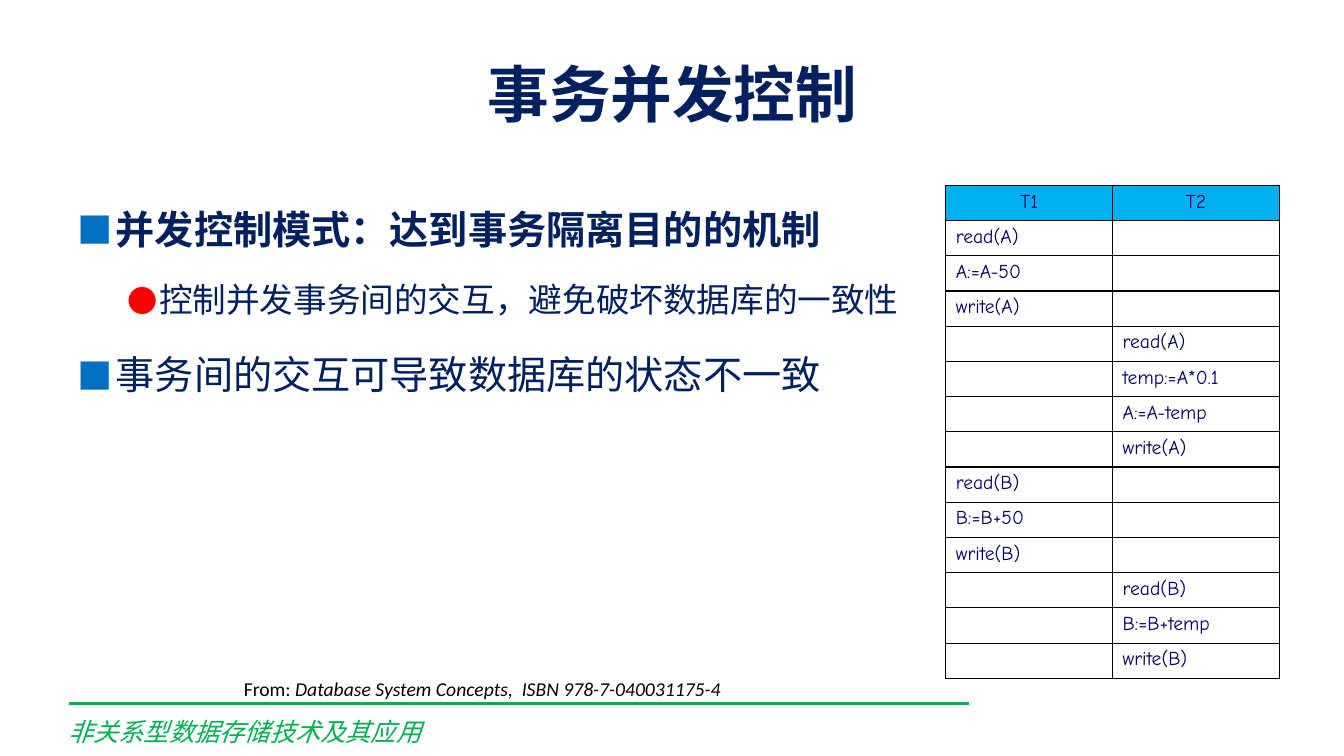
"""Build a slide on transaction concurrency control with a schedule table."""
from dataclasses import dataclass

from lxml import etree
from pptx import Presentation, util as u
from pptx.dml.color import RGBColor
from pptx.enum import shapes, text
from pptx.oxml import ns

CJK = "Noto Sans CJK JP"
NAVY = "002060"
GREEN = "00B050"
CELL_SIZE = 14


@dataclass(frozen=True)
class Style:
    size: float
    color: str
    font: str = CJK
    bold: bool = False
    italic: bool = False


@dataclass(frozen=True)
class Bullet:
    words: str
    style: Style
    mark: str
    color: str
    indent: float
    hang: float
    level: int = 0


@dataclass(frozen=True)
class Label:
    words: str
    style: Style
    left: float
    top: float
    width: float
    height: float
    align: text.PP_ALIGN = text.PP_ALIGN.LEFT
    anchor: text.MSO_ANCHOR = text.MSO_ANCHOR.TOP


@dataclass(frozen=True)
class Step:
    column: int
    words: str


BULLETS = [
    Bullet("并发控制模式：达到事务隔离目的的机制", Style(28, NAVY, bold=True), "■", "0070C0", 0.38, 0.38),
    Bullet("控制并发事务间的交互，避免破坏数据库的一致性", Style(24, NAVY), "●", "FF0000", 0.81, 0.31, 1),
    Bullet("事务间的交互可导致数据库的状态不一致", Style(28, NAVY), "■", "0070C0", 0.38, 0.38),
]
TITLE = Label("事务并发控制", Style(44, NAVY, bold=True), 0.67, 0.3, 12, 1.25,
              text.PP_ALIGN.CENTER, text.MSO_ANCHOR.MIDDLE)
FOOTER = Label("非关系型数据存储技术及其应用", Style(18, GREEN, italic=True), 0.58, 7.06, 7.24, 0.4)
CITATION = Label("From: ", Style(14, "000000", "Calibri"), 2.32, 6.67, 5.13, 0.34)
BOOK = "Database System Concepts,  ISBN 978-7-040031175-4"
HEADINGS = ["T1", "T2"]
STEPS = [
    Step(column, words)
    for column, group in [
        (0, ["read(A)", "A:=A-50", "write(A)"]),
        (1, ["read(A)", "temp:=A*0.1", "A:=A-temp", "write(A)"]),
        (0, ["read(B)", "B:=B+50", "write(B)"]),
        (1, ["read(B)", "B:=B+temp", "write(B)"]),
    ]
    for words in group
]


def rgb(value: str) -> RGBColor:
    return RGBColor.from_string(value)


def add_element(parent, tag: str, **attributes: str):
    return etree.SubElement(parent, ns.qn(tag), attributes)


def format_span(span, style: Style) -> None:
    span.font.name = style.font
    span.font.size = u.Pt(style.size)
    span.font.bold = style.bold
    span.font.italic = style.italic
    span.font.color.rgb = rgb(style.color)
    add_element(span.font._element, "a:ea", typeface=style.font)


def add_box(page, left: float, top: float, width: float, height: float):
    box = page.shapes.add_textbox(*map(u.Inches, (left, top, width, height)))
    box.text_frame.word_wrap = True
    return box


def add_label(page, label: Label):
    box = add_box(page, label.left, label.top, label.width, label.height)
    box.text_frame.text = label.words
    box.text_frame.vertical_anchor = label.anchor
    para = box.text_frame.paragraphs[0]
    para.alignment = label.align
    format_span(para.runs[0], label.style)
    return para


def add_bullets(page, bullets: list[Bullet]) -> None:
    frame = add_box(page, 0.67, 1.75, 8.36, 5.07).text_frame
    for index, bullet in enumerate(bullets):
        para = frame.add_paragraph() if index else frame.paragraphs[0]
        para.text = bullet.words
        para.level = bullet.level
        para.line_spacing = 1.5
        para.space_before = u.Pt(bullet.style.size * 0.2)
        format_span(para.runs[0], bullet.style)
        props = para._p.get_or_add_pPr()
        props.set("marL", str(u.Inches(bullet.indent)))
        props.set("indent", str(-u.Inches(bullet.hang)))
        add_element(add_element(props, "a:buClr"), "a:srgbClr", val=bullet.color)
        add_element(props, "a:buSzPct", val="90000")
        add_element(props, "a:buFont", typeface=CJK)
        add_element(props, "a:buChar", char=bullet.mark)


def add_borders(cell) -> None:
    props = cell._tc.get_or_add_tcPr()
    for index, side in enumerate(["a:lnL", "a:lnR", "a:lnT", "a:lnB"]):
        line = etree.Element(ns.qn(side), w=str(u.Pt(1)))
        add_element(add_element(line, "a:solidFill"), "a:srgbClr", val="000000")
        props.insert(index, line)


def fill_cell(cell, words: str, heading: bool) -> None:
    cell.text = words
    para = cell.text_frame.paragraphs[0]
    if heading:
        para.alignment = text.PP_ALIGN.CENTER
        cell.fill.solid()
        cell.fill.fore_color.rgb = rgb("00B0F0")
    else:
        cell.fill.background()
    for span in para.runs:
        format_span(span, Style(CELL_SIZE, "000066", "Comic Neue"))
    if not words:
        add_element(para._p, "a:endParaRPr", sz=str(CELL_SIZE * 100))
    add_borders(cell)


def add_schedule(page) -> None:
    rows = [HEADINGS] + [[step.words if step.column == c else "" for c in range(2)] for step in STEPS]
    frame = page.shapes.add_table(len(rows), 2, *map(u.Inches, (9.38, 1.84, 3.31, 4.89)))
    frame.table.horz_banding = False
    for r, row in enumerate(rows):
        for c, words in enumerate(row):
            fill_cell(frame.table.cell(r, c), words, r == 0)


def add_rule(page) -> None:
    ends = map(u.Inches, (0.68, 6.98, 9.61, 6.98))
    rule = page.shapes.add_connector(shapes.MSO_CONNECTOR.STRAIGHT, *ends)
    rule.line.color.rgb = rgb(GREEN)
    rule.line.width = u.Pt(2.25)
    add_element(rule._element.spPr, "a:effectLst")


def main() -> None:
    deck = Presentation()
    deck.slide_width, deck.slide_height = u.Inches(13.33), u.Inches(7.5)
    page = deck.slides.add_slide(deck.slide_layouts[6])
    add_rule(page)
    add_label(page, FOOTER)
    add_label(page, TITLE)
    add_bullets(page, BULLETS)
    citation = add_label(page, CITATION)
    span = citation.add_run()
    span.text = BOOK
    format_span(span, Style(14, "000000", "Calibri", italic=True))
    add_schedule(page)


    deck.save("out.pptx")


if __name__ == "__main__":
    main()
